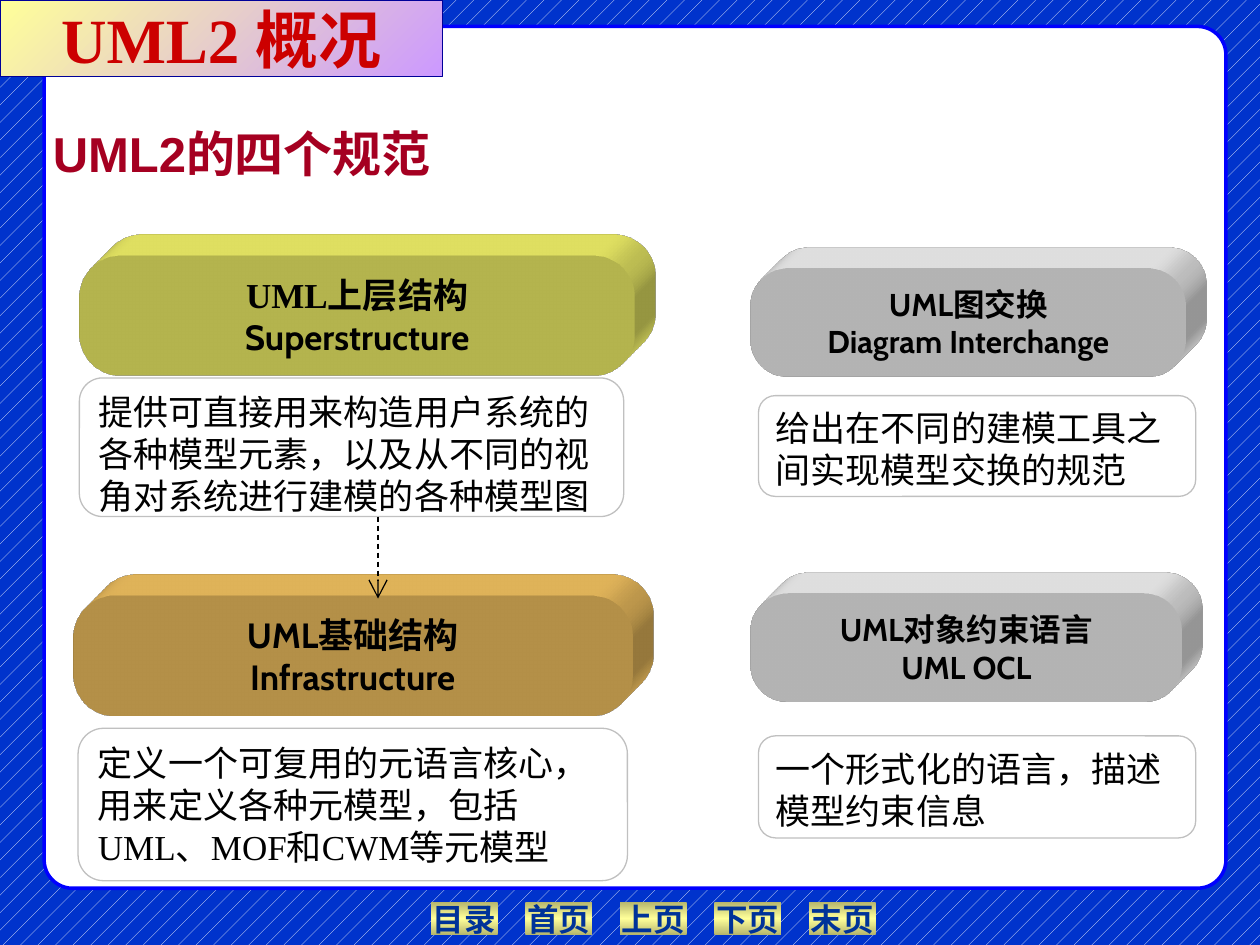
from lxml import etree
from pptx import Presentation
from pptx import util as u
from pptx.dml.color import RGBColor
from pptx.enum import dml, shapes, text
from pptx.oxml import parse_xml
from pptx.oxml.ns import nsdecls, qn

Inches, Pt = u.Inches, u.Pt
SERIF = "Times New Roman"
PRESET = shapes.MSO_SHAPE


def color(hex_value):
    return RGBColor.from_string(hex_value)


def paint_gradient(shape, stops, angle):
    """Fill with (percent, colour) stops; the angle runs clockwise."""
    shape.fill.gradient()
    shape.fill.gradient_angle = 360 - angle
    stop_list = shape._element.spPr.find(qn("a:gradFill")).find(qn("a:gsLst"))
    for old in list(stop_list):
        stop_list.remove(old)
    for percent, value in stops:
        stop = etree.SubElement(stop_list, qn("a:gs"), pos=str(percent * 1000))
        etree.SubElement(stop, qn("a:srgbClr"), val=value)


def outline(shape, value, width):
    shape.line.color.rgb = color(value)
    shape.line.width = Pt(width)


def add_preset(slide, kind, box, fill=None, radius=None):
    shape = slide.shapes.add_shape(kind, *map(Inches, box))
    shape.shadow.inherit = False
    shape.line.fill.background()
    if fill:
        shape.fill.solid()
        shape.fill.fore_color.rgb = color(fill)
    else:
        shape.fill.background()
    if radius is not None:
        shape.adjustments[0] = radius
    return shape


def write(shape, lines, size, value, bold=False, align=text.PP_ALIGN.LEFT,
          anchor=text.MSO_ANCHOR.TOP, insets=(0.1, 0.05), wrap=True):
    """Write one paragraph for each (wording, font) pair."""
    frame = shape.text_frame
    frame.word_wrap = wrap
    frame.auto_size = text.MSO_AUTO_SIZE.NONE
    frame.vertical_anchor = anchor
    frame.margin_left = frame.margin_right = Inches(insets[0])
    frame.margin_top = frame.margin_bottom = Inches(insets[1])
    for index, (wording, font) in enumerate(lines):
        paragraph = frame.add_paragraph() if index else frame.paragraphs[0]
        paragraph.alignment = align
        paragraph.space_before = Pt(0)
        run = paragraph.add_run()
        run.text = wording
        run.font.name = font
        run.font.size = Pt(size)
        run.font.bold = bold
        run.font.color.rgb = color(value)


def extrude(shape, value):
    """Give the shape an oblique depth towards the top right."""
    properties = shape._element.spPr
    properties.append(parse_xml(
        f'<a:scene3d {nsdecls("a")}><a:camera prst="legacyObliqueTopRight"/>'
        '<a:lightRig rig="legacyFlat3" dir="r"/></a:scene3d>'))
    properties.append(parse_xml(
        f'<a:sp3d {nsdecls("a")} extrusionH="430200" prstMaterial="legacyMatte">'
        '<a:bevelT w="13500" h="13500" prst="angle"/>'
        '<a:bevelB w="13500" h="13500" prst="angle"/>'
        f'<a:extrusionClr><a:srgbClr val="{value}"/></a:extrusionClr></a:sp3d>'))


def add_frame(slide):
    fill = slide.background.fill
    fill.patterned()
    fill.pattern = dml.MSO_PATTERN.PERCENT_5
    fill.fore_color.rgb = color("FFFFFF")
    fill.back_color.rgb = color("0033CC")
    panel = add_preset(slide, PRESET.ROUNDED_RECTANGLE,
                       (0.35, 0.21, 9.38, 6.84), "FFFFFF", 0.033)
    outline(panel, "0000FF", 2)


def add_navigation(slide, left, top):
    for index, label in enumerate(("目录", "首页", "上页", "下页", "末页")):
        button = add_preset(slide, PRESET.ACTION_BUTTON_CUSTOM,
                            (left + 0.75 * index, top, 0.53, 0.26))
        paint_gradient(button, [(0, "B6B66D"), (50, "FFFF99"), (100, "B6B66D")], 90)
        write(button, [(label, SERIF)], 18, "003399", bold=True,
              align=text.PP_ALIGN.CENTER, anchor=text.MSO_ANCHOR.MIDDLE, wrap=False)


def add_specification(slide, head_box, fill, size, names, note_box, note, note_font=SERIF):
    head = add_preset(slide, PRESET.ROUNDED_RECTANGLE, head_box, fill, 0.345)
    extrude(head, fill)
    write(head, names, size, "000000", bold=True,
          align=text.PP_ALIGN.CENTER, anchor=text.MSO_ANCHOR.MIDDLE)
    description = add_preset(slide, PRESET.ROUNDED_RECTANGLE, note_box, radius=0.167)
    outline(description, "C0C0C0", 0.75)
    write(description, [(note, note_font)], 20, "000000")


def add_dependency(slide, x, top, bottom):
    arrow = slide.shapes.add_connector(
        shapes.MSO_CONNECTOR.STRAIGHT, Inches(x), Inches(top), Inches(x), Inches(bottom))
    outline(arrow, "000000", 0.75)
    arrow.line.dash_style = dml.MSO_LINE.DASH
    etree.SubElement(arrow.line._get_or_add_ln(), qn("a:tailEnd"),
                     type="arrow", w="lg", len="lg")
    etree.SubElement(arrow._element.spPr, qn("a:effectLst"))


def add_heading(slide, box):
    heading = slide.shapes.add_textbox(*map(Inches, box))
    write(heading, [("UML2的四个规范", "Arial")], 28, "A50021", bold=True, insets=(0, 0))


def place_title(slide, box):
    title = slide.shapes.title
    title.left, title.top, title.width, title.height = map(Inches, box)
    paint_gradient(title, [(0, "FFFF99"), (100, "CC99FF")], 45)
    outline(title, "000099", 0.75)
    write(title, [("UML2 概况", SERIF)], 36, "CC0000", bold=True,
          align=text.PP_ALIGN.CENTER, anchor=text.MSO_ANCHOR.MIDDLE, insets=(0, 0))
    slide.shapes._spTree.append(title._element)  # bring to front


def main():
    deck = Presentation()
    deck.slide_width, deck.slide_height = Inches(10), Inches(7.5)
    slide = deck.slides.add_slide(deck.slide_layouts[5])
    add_frame(slide)
    add_navigation(slide, 3.42, 7.16)
    add_specification(
        slide, (0.58, 4.73, 4.44, 0.95), "FFCC66", 20,
        [("UML基础结构", "Cabin"), ("Infrastructure", "Cabin")],
        (0.62, 5.78, 4.36, 1.21),
        "定义一个可复用的元语言核心，用来定义各种元模型，包括UML、MOF和CWM等元模型")
    add_specification(
        slide, (0.63, 2.03, 4.41, 0.95), "FFFF6F", 20,
        [("UML上层结构", SERIF), ("Superstructure", "Cabin")],
        (0.63, 3, 4.32, 1.1),
        "提供可直接用来构造用户系统的各种模型元素，以及从不同的视角对系统进行建模的各种模型图")
    add_dependency(slide, 3, 4.1, 4.75)
    add_specification(
        slide, (5.96, 2.13, 3.45, 0.86), "FFFFFF", 18,
        [("UML图交换", "Cabin"), ("Diagram Interchange", "Cabin")],
        (6.02, 3.14, 3.47, 0.8), "给出在不同的建模工具之间实现模型交换的规范")
    add_specification(
        slide, (5.96, 4.71, 3.42, 0.86), "FFFFFF", 18,
        [("UML对象约束语言", "Cabin"), ("UML OCL", "Cabin")],
        (6.02, 5.84, 3.47, 0.81), "一个形式化的语言，描述模型约束信息", "Arial")
    add_heading(slide, (0.42, 0.98, 3.54, 0.47))
    place_title(slide, (0, 0, 3.51, 0.61))
    deck.save("out.pptx")


if __name__ == "__main__":
    main()
